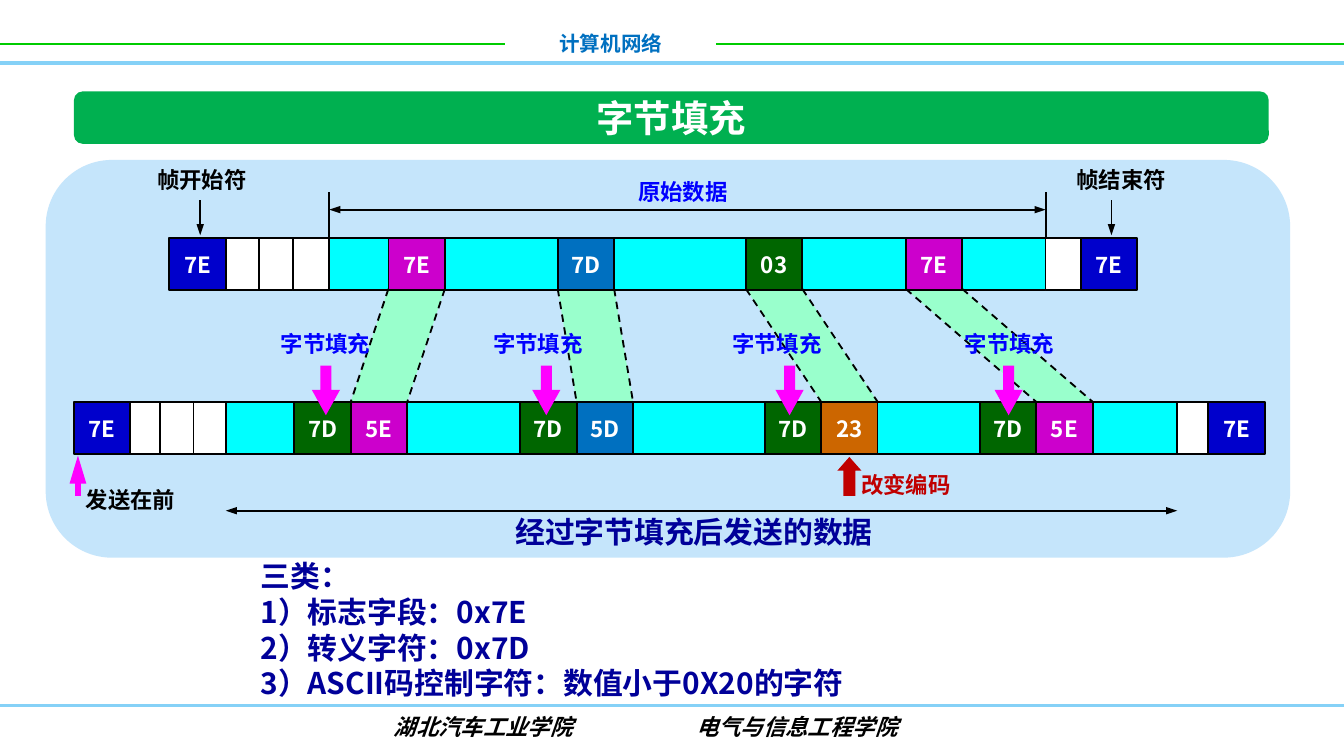
from lxml.etree import SubElement
from pptx import Presentation
from pptx.dml.color import RGBColor
from pptx.enum.dml import MSO_LINE
from pptx.enum.shapes import MSO_CONNECTOR, MSO_SHAPE
from pptx.enum.text import MSO_ANCHOR, PP_ALIGN
from pptx.oxml.ns import qn
from pptx.util import Inches, Pt

BLACK = RGBColor(0x00, 0x00, 0x00)
WHITE = RGBColor(0xFF, 0xFF, 0xFF)
GREEN = RGBColor(0x00, 0xB0, 0x50)
RULE_GREEN = RGBColor(0x00, 0xCC, 0x00)
SKY = RGBColor(0x85, 0xD1, 0xF7)
PANEL = RGBColor(0xC5, 0xE5, 0xFB)
CYAN = RGBColor(0x00, 0xFF, 0xFF)
MINT = RGBColor(0x99, 0xFF, 0xCC)
FLAG = RGBColor(0x00, 0x00, 0xCC)
PURPLE = RGBColor(0xCC, 0x00, 0xCC)
BLUE = RGBColor(0x00, 0x70, 0xC0)
DARK_GREEN = RGBColor(0x00, 0x66, 0x00)
ORANGE = RGBColor(0xCC, 0x66, 0x00)
MAGENTA = RGBColor(0xFF, 0x00, 0xFF)
RED = RGBColor(0xC0, 0x00, 0x00)
BRIGHT_BLUE = RGBColor(0x00, 0x00, 0xFF)
NAVY = RGBColor(0x00, 0x00, 0x99)
FONT = "Noto Sans CJK SC"
CENTER, LEFT, JUSTIFY = PP_ALIGN.CENTER, PP_ALIGN.LEFT, PP_ALIGN.JUSTIFY

prs = Presentation()
prs.slide_width = Inches(10)
prs.slide_height = prs.slide_width * 9 // 16
slide = prs.slides.add_slide(prs.slide_layouts[6])
shapes = slide.shapes
U = prs.slide_width // 1000  # side of one square in a grid of 1000 columns

# Both frames share the cell size
CELL_W, CELL_H = 42, 39
RAW_Y, SENT_Y = 177, 299
RAW_BOTTOM = RAW_Y + CELL_H - 1


def add_box(kind, x, y, w, h, fill, outlined=False):
    s = shapes.add_shape(kind, x * U, y * U, w * U, h * U)
    s.shadow.inherit = False
    s.fill.solid()
    s.fill.fore_color.rgb = fill
    if outlined:
        s.line.color.rgb = BLACK
        s.line.width = Pt(1)
    else:
        s.line.fill.background()
    return s


def write(tf, lines, size, color, align, font=FONT, italic=False):
    for i, line in enumerate(lines):
        p = tf.paragraphs[0] if i == 0 else tf.add_paragraph()
        p.alignment = align
        r = p.add_run()
        r.text = line
        r.font.size = Pt(size)
        r.font.bold = True
        r.font.italic = italic
        r.font.color.rgb = color
        r.font.name = font
        SubElement(r.font._element, qn("a:ea")).set("typeface", FONT)


# Title bar and panel
add_box(MSO_SHAPE.ROUNDED_RECTANGLE, 55, 68, 889, 39, GREEN)
add_box(MSO_SHAPE.ROUNDED_RECTANGLE, 34, 119, 926, 296, PANEL)

# Each stuffed byte: raw x, raw byte, raw fill, sent x, code, code fill, arrow x, label x
stuffed = [
    (289, "7E", PURPLE, 261, "5E", PURPLE, 232, 199),
    (415, "7D", BLUE, 429, "5D", BLUE, 396, 357),
    (555, "03", DARK_GREEN, 611, "23", ORANGE, 577, 535),
    (674, "7E", PURPLE, 771, "5E", PURPLE, 740, 708),
]

# Lines: x1, y1, x2, y2, colour, width, dashed, arrow ends
lines = [
    (0, 33, 376, 33, RULE_GREEN, 1, False, ()),
    (533, 33, 1000, 33, RULE_GREEN, 1, False, ()),
    (0, 47, 1000, 47, SKY, 2, False, ()),
    (0, 525, 1000, 525, SKY, 1.5, False, ()),
    (245, 156, 778, 156, BLACK, 1, False, ("headEnd", "tailEnd")),
    (168, 380, 876, 380, BLACK, 1, False, ("headEnd", "tailEnd")),
    (58, 369, 58, 339, MAGENTA, 3, False, ("tailEnd",)),
]
for x in (149, 827):
    lines.append((x, 149, x, 175, BLACK, 1, False, ("tailEnd",)))
for x in (245, 778):
    lines.append((x, 143, x, 176, BLACK, 1, False, ()))

# Cells: x, y, width, fill, text
cells = [(227, RAW_Y, 552, CYAN, ""), (168, SENT_Y, 708, CYAN, "")]
for x, w in ((168, 27), (193, 27), (218, 27), (778, 27)):
    cells.append((x, RAW_Y, w, WHITE, ""))
for x, w in ((96, 29), (119, 28), (144, 24), (876, 24)):
    cells.append((x, SENT_Y, w, WHITE, ""))
for x, y in ((126, RAW_Y), (804, RAW_Y), (55, SENT_Y), (899, SENT_Y)):
    cells.append((x, y, CELL_W, FLAG, "7E"))

# Labels: x, y, width, height, lines, size, colour, alignment
labels = [
    (376, 18, 157, 29, ["计算机网络"], 11, BLUE, CENTER),
    (425, 66, 149, 44, ["字节填充"], 20, WHITE, CENTER),
    (465, 128, 88, 30, ["原始数据"], 12, BRIGHT_BLUE, LEFT),
    (107, 119, 88, 30, ["帧开始符"], 12, BLACK, LEFT),
    (791, 119, 88, 30, ["帧结束符"], 12, BLACK, LEFT),
    (54, 357, 93, 30, ["发送在前"], 12, BLACK, LEFT),
    (631, 346, 88, 30, ["改变编码"], 12, RED, LEFT),
    (349, 377, 335, 37, ["经过字节填充后发送的数据"], 16, NAVY, CENTER),
    (184, 410, 631, 118, ["三类：", "1）标志字段：0x7E", "2）转义字符：0x7D",
                          "3）ASCII码控制字符：数值小于0X20的字符"], 16, NAVY, JUSTIFY),
]

# Bands joining each raw byte to its code
for raw_x, raw, raw_fill, sent_x, code, code_fill, arrow_x, label_x in stuffed:
    fb = shapes.build_freeform(sent_x, SENT_Y, scale=U)
    fb.add_line_segments([(sent_x + CELL_W, SENT_Y), (raw_x + CELL_W, RAW_BOTTOM),
                          (raw_x, RAW_BOTTOM)])
    s = fb.convert_to_shape()
    s.shadow.inherit = False
    s.fill.solid()
    s.fill.fore_color.rgb = MINT
    s.line.fill.background()
    for edge in (0, CELL_W):
        lines.append((raw_x + edge, RAW_BOTTOM, sent_x + edge, SENT_Y, BLACK, 1, True, ()))
    cells += [
        (raw_x, RAW_Y, CELL_W, raw_fill, raw),
        (sent_x - CELL_W, SENT_Y, CELL_W, DARK_GREEN, "7D"),
        (sent_x, SENT_Y, CELL_W, code_fill, code),
    ]
    labels.append((label_x, 241, 88, 30, ["字节填充"], 12, BRIGHT_BLUE, LEFT))

for x, y, w, fill, text in cells:
    s = add_box(MSO_SHAPE.RECTANGLE, x, y, w, CELL_H, fill, outlined=True)
    if text:
        tf = s.text_frame
        tf.word_wrap = False
        tf.vertical_anchor = MSO_ANCHOR.MIDDLE
        write(tf, [text], 12, WHITE, CENTER)

for x1, y1, x2, y2, color, width, dashed, ends in lines:
    c = shapes.add_connector(MSO_CONNECTOR.STRAIGHT, x1 * U, y1 * U, x2 * U, y2 * U)
    c.line.color.rgb = color
    c.line.width = Pt(width)
    if dashed:
        c.line.dash_style = MSO_LINE.DASH
    for end in ends:
        head = SubElement(c.line._get_or_add_ln(), qn(f"a:{end}"))
        head.set("type", "triangle")
        head.set("w", "sm" if width == 1 else "med")
        head.set("len", "med" if width == 1 else "lg")
    SubElement(c._element.spPr, qn("a:effectLst"))

# Block arrows
for *_, arrow_x, label_x in stuffed:
    s = add_box(MSO_SHAPE.DOWN_ARROW, arrow_x, 272, 21, 37, MAGENTA)
    s.adjustments[0], s.adjustments[1] = 0.39, 0.9
s = add_box(MSO_SHAPE.UP_ARROW, 623, 340, 18, 29, RED)
s.adjustments[0], s.adjustments[1] = 0.5, 0.57

for x, y, w, h, text, size, color, align in labels:
    tf = shapes.add_textbox(x * U, y * U, w * U, h * U).text_frame
    tf.word_wrap = True
    write(tf, text, size, color, align)

# Footer, its two names set apart by a tab stop
tf = shapes.add_textbox(102 * U, 526 * U, 756 * U, 30 * U).text_frame
tf.word_wrap = True
tf.margin_left = 191 * U
tabs = SubElement(tf.paragraphs[0]._p.get_or_add_pPr(), qn("a:tabLst"))
tab = SubElement(tabs, qn("a:tab"))
tab.set("pos", str(225 * U))
tab.set("algn", "l")
write(tf, ["湖北汽车工业学院\t电气与信息工程学院"], 12, BLACK, LEFT, font="Arial", italic=True)

prs.save("out.pptx")
